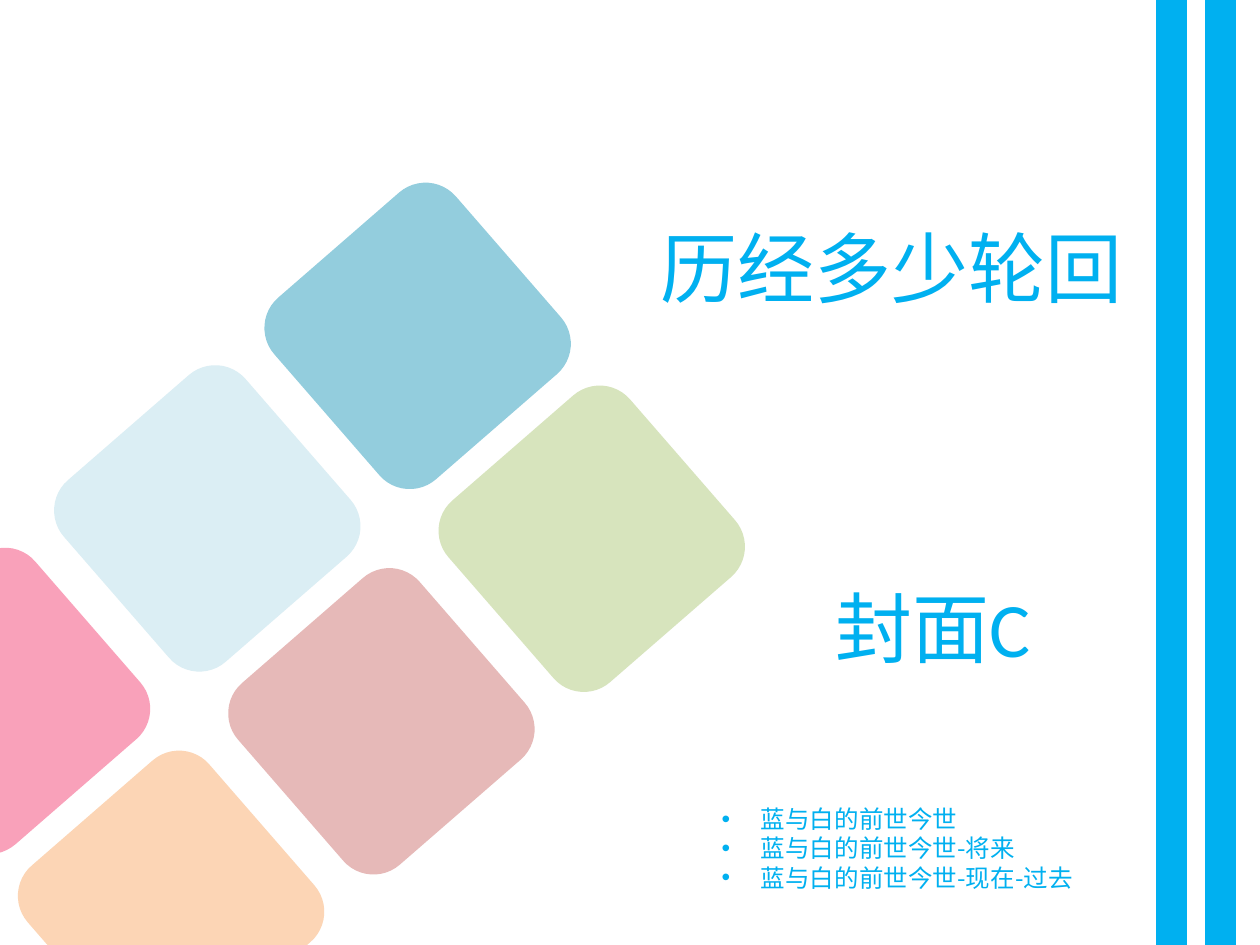
from math import cos, pi, radians, sin

from lxml.etree import SubElement
from pptx import Presentation
from pptx.dml.color import RGBColor
from pptx.enum.shapes import MSO_SHAPE
from pptx.enum.text import MSO_AUTO_SIZE, PP_ALIGN
from pptx.oxml.ns import qn
from pptx.util import Cm, Pt

SKY = RGBColor(0x00, 0xB0, 0xF0)
PINK = RGBColor(0xF9, 0xA1, 0xBA)
PALE_BLUE = RGBColor(0xDB, 0xEE, 0xF4)
BLUE = RGBColor(0x93, 0xCD, 0xDD)
ORANGE = RGBColor(0xFC, 0xD5, 0xB5)
ROSE = RGBColor(0xE6, 0xB9, 0xB8)
GREEN = RGBColor(0xD7, 0xE4, 0xBD)
CJK, LATIN = "Noto Sans CJK SC", "Calibri"

# Content; all lengths in cm
WIDTH, HEIGHT = 25.4, 19.05
TILE_ROWS = [[PINK, PALE_BLUE, BLUE], [ORANGE, ROSE, GREEN]]
TITLE = [[("历经多少轮回", CJK)]]
COVER = [[("封面", CJK), ("C", LATIN)]]
TOPICS = [[(t, CJK)] for t in (
    "蓝与白的前世今世", "蓝与白的前世今世-将来", "蓝与白的前世今世-现在-过去")]

# Tile grid: first centre, step along a row, step between rows
FIRST, ALONG, DOWN = (-0.06, 14.13), (4.24, -3.68), (3.51, 4.09)
SIDE, ROUND, ANGLE = 4.85, 0.167, -41
BAR_LEFTS, BAR_WIDTH = (23.34, 24.33), 0.56


def tile_outline(cx, cy):
    """Points around a rotated rounded square."""
    radius, turn, steps = SIDE * ROUND, radians(ANGLE), 12
    inner = SIDE / 2 - radius
    points = []
    for i, (sx, sy) in enumerate([(1, 1), (-1, 1), (-1, -1), (1, -1)]):
        for k in range(steps + 1):
            a = (i + k / steps) * pi / 2
            x, y = sx * inner + radius * cos(a), sy * inner + radius * sin(a)
            points.append((cx + x * cos(turn) - y * sin(turn),
                           cy + x * sin(turn) + y * cos(turn)))
    return points


def clip(points, axis, limit, sign):
    """Keep the part of a convex outline on one side of a slide edge."""
    kept = []
    for p, q in zip(points, points[1:] + points[:1]):
        dp, dq = sign * (p[axis] - limit), sign * (q[axis] - limit)
        if dp >= 0:
            kept.append(p)
        if dp * dq < 0:
            t = dp / (dp - dq)
            kept.append((p[0] + t * (q[0] - p[0]), p[1] + t * (q[1] - p[1])))
    return kept


def add_tile(s, cx, cy, color):
    outline = tile_outline(cx, cy)
    visible = clip(clip(outline, 0, 0, 1), 1, HEIGHT, -1)
    if visible == outline:
        sp = s.shapes.add_shape(MSO_SHAPE.ROUNDED_RECTANGLE, Cm(cx - SIDE / 2),
                                Cm(cy - SIDE / 2), Cm(SIDE), Cm(SIDE))
        sp.adjustments[0] = ROUND
        sp.rotation = ANGLE % 360
    else:
        start, *rest = [(Cm(x), Cm(y)) for x, y in visible]
        builder = s.shapes.build_freeform(*start)
        builder.add_line_segments(rest, close=True)
        sp = builder.convert_to_shape()
    sp.shadow.inherit = False
    sp.fill.solid()
    sp.fill.fore_color.rgb = color
    sp.line.fill.background()


def add_bullet(p):
    pPr = p._p.get_or_add_pPr()
    pPr.set("marL", str(Cm(0.79)))
    pPr.set("indent", str(-Cm(0.79)))
    SubElement(SubElement(pPr, qn("a:buClr")), qn("a:srgbClr")).set("val", str(SKY))
    SubElement(pPr, qn("a:buFont")).set("typeface", "Arial")
    SubElement(pPr, qn("a:buChar")).set("char", "•")


def add_text(s, box, paragraphs, size, bullets=False):
    tf = s.shapes.add_textbox(*map(Cm, box)).text_frame
    tf.word_wrap = True
    tf.auto_size = MSO_AUTO_SIZE.SHAPE_TO_FIT_TEXT
    for i, runs in enumerate(paragraphs):
        p = tf.add_paragraph() if i else tf.paragraphs[0]
        if bullets:
            add_bullet(p)
        else:
            p.alignment = PP_ALIGN.CENTER
        for text, font in runs:
            r = p.add_run()
            r.text = text
            r.font.size = Pt(size)
            r.font.color.rgb = SKY
            r.font.name = font
            SubElement(r.font._element, qn("a:ea")).set("typeface", font)


prs = Presentation()
prs.slide_width, prs.slide_height = Cm(WIDTH), Cm(HEIGHT)
s = prs.slides.add_slide(prs.slide_layouts[6])

# Diagonal grid of tiles
for row, colors in enumerate(TILE_ROWS):
    for col, color in enumerate(colors):
        cx, cy = (f + col * a + row * d for f, a, d in zip(FIRST, ALONG, DOWN))
        add_tile(s, cx, cy, color)

# Vertical bars at the right edge
for left in BAR_LEFTS:
    bar = s.shapes.add_shape(MSO_SHAPE.RECTANGLE, Cm(left), 0, Cm(BAR_WIDTH), Cm(HEIGHT))
    bar.shadow.inherit = False
    bar.fill.solid()
    bar.fill.fore_color.rgb = SKY
    bar.line.color.rgb = SKY
    bar.line.width = Pt(2)

# Title, cover label and topics
add_text(s, (12.34, 4.32, 11.28, 2.13), TITLE, 44)
add_text(s, (14.5, 11.58, 8.61, 2.13), COVER, 44)
add_text(s, (14.3, 16.08, 8.23, 2.03), TOPICS, 14, bullets=True)

prs.save("out.pptx")
